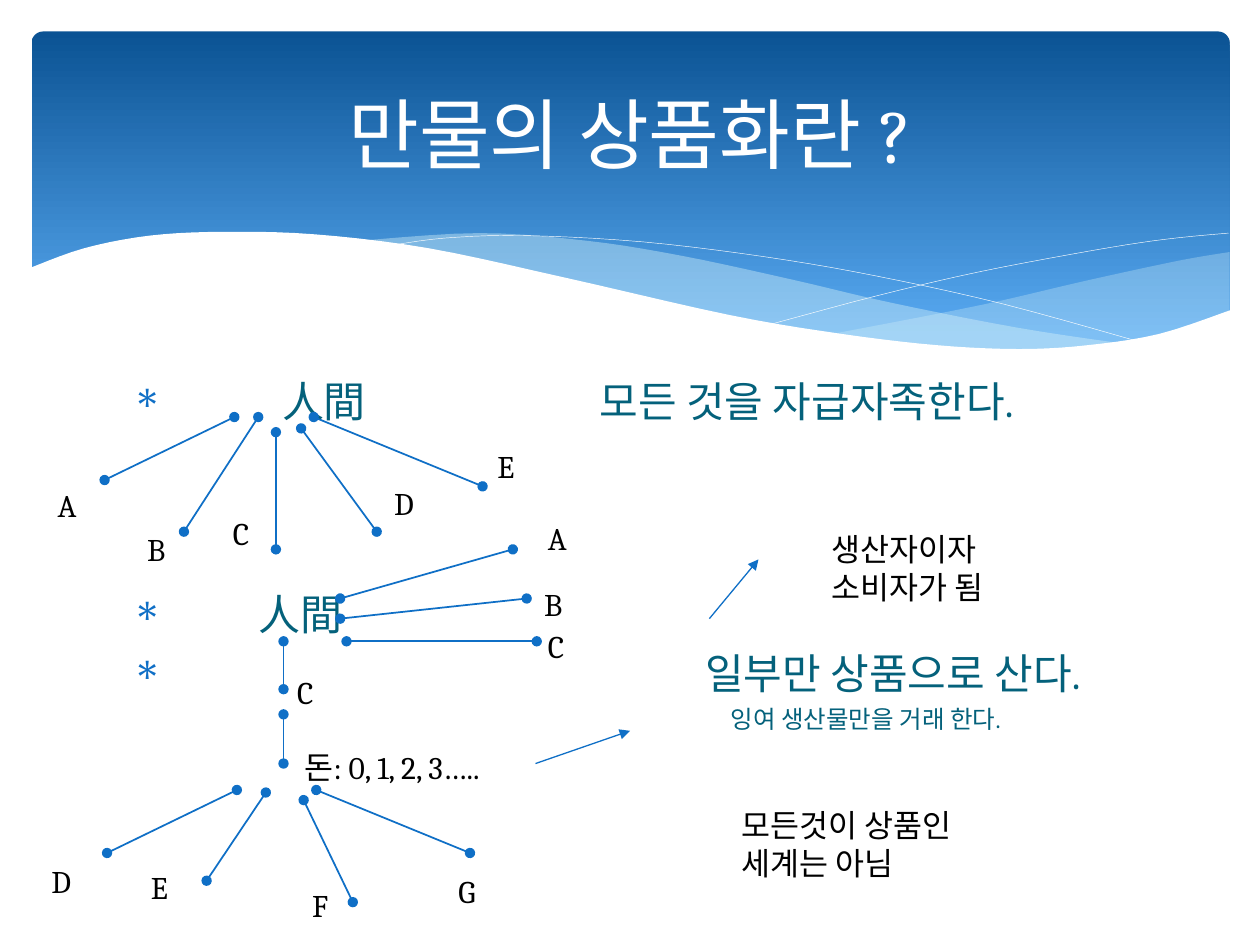
from lxml import etree
from pptx import Presentation
from pptx.dml.color import RGBColor
from pptx.enum.shapes import MSO_CONNECTOR, MSO_SHAPE
from pptx.enum.text import MSO_ANCHOR, PP_ALIGN
from pptx.oxml import parse_xml
from pptx.oxml.ns import nsdecls, qn
from pptx.util import Inches, Pt

BLUE, TEAL, PALE, WHITE, BLACK = "0F6FC6", "04617B", "DBF5F9", "FFFFFF", "000000"


def colour(value):
    """Return the colour for a hex string."""
    return RGBColor.from_string(value)


def curve(points, steps=5):
    """Return a smooth run of points through the given ones."""
    padded = [points[0], *points, points[-1]]
    result = [points[0]]
    for before, start, end, after in zip(padded, padded[1:], padded[2:], padded[3:]):
        for step in range(1, steps + 1):
            t = step / steps
            result.append(tuple(
                b + 0.5 * t * (c - a + t * (2 * a - 5 * b + 4 * c - d + t * (3 * (b - c) + d - a)))
                for a, b, c, d in zip(before, start, end, after)))
    return result


class SlideBuilder:
    """Hold the style and the current slide, and add elements to it."""

    font = "Cambria"

    def __init__(self, slide):
        self.shapes = slide.shapes

    def banner(self, left, top, width, height, upper, lower):
        """Add the rounded banner with a vertical gradient."""
        shape = self.shapes.add_shape(MSO_SHAPE.ROUNDED_RECTANGLE, Inches(left), Inches(top),
                                      Inches(width), Inches(height))
        shape.adjustments[0] = 0.034
        shape.shadow.inherit = False
        shape.line.fill.background()
        shape.fill.gradient()
        shape.fill.gradient_angle = 270
        for stop, position, value in zip(shape.fill.gradient_stops, (0, 0.9), (upper, lower)):
            stop.position = position
            stop.color.rgb = colour(value)

    def outline(self, points, closed):
        """Add a bare freeform through the points."""
        corners = [(Inches(x), Inches(y)) for x, y in points]
        builder = self.shapes.build_freeform(*corners[0])
        builder.add_line_segments(corners[1:], close=closed)
        shape = builder.convert_to_shape()
        shape.shadow.inherit = False
        return shape

    def wave(self, points, fill, opacity=100):
        """Add a filled wave."""
        shape = self.outline(points, True)
        shape.line.fill.background()
        shape.fill.solid()
        shape.fill.fore_color.rgb = colour(fill)
        if opacity < 100:
            value = shape._element.spPr.find(f"{qn('a:solidFill')}/{qn('a:srgbClr')}")
            etree.SubElement(value, qn("a:alpha"), val=str(opacity * 1000))

    def ripple(self, points):
        """Add a thin white curve."""
        shape = self.outline(points, False)
        shape.fill.background()
        shape.line.color.rgb = colour(WHITE)
        shape.line.width = Pt(0.25)

    def connector(self, start, end, width=1, head="oval", tail="oval"):
        """Add a straight line with the given ends."""
        line = self.shapes.add_connector(MSO_CONNECTOR.STRAIGHT, *map(Inches, start + end))
        line.line.color.rgb = colour(BLUE)
        line.line.width = Pt(width)
        properties = line._element.spPr.find(qn("a:ln"))
        etree.SubElement(properties, qn("a:headEnd"), type=head)
        etree.SubElement(properties, qn("a:tailEnd"), type=tail)
        etree.SubElement(line._element.spPr, qn("a:effectLst"))

    def arrow(self, start, end):
        """Add a thin arrow."""
        self.connector(start, end, 0.75, "none", "triangle")

    def frame(self, left, top, width, height):
        """Add an empty wrapping text box and return its text frame."""
        box = self.shapes.add_textbox(Inches(left), Inches(top), Inches(width), Inches(height))
        box.text_frame.word_wrap = True
        return box.text_frame

    def set_text(self, paragraph, text, size, value):
        """Fill a paragraph with styled text."""
        paragraph.text = text
        paragraph.font.name = self.font
        paragraph.font.size = Pt(size)
        paragraph.font.color.rgb = colour(value)

    def title(self, text, left, top, width, height):
        """Add the centred title."""
        frame = self.frame(left, top, width, height)
        frame.vertical_anchor = MSO_ANCHOR.MIDDLE
        self.set_text(frame.paragraphs[0], text, 44, WHITE)
        frame.paragraphs[0].alignment = PP_ALIGN.CENTER

    def label(self, text, left, top, width=0.43, height=0.4):
        """Add a black label."""
        self.set_text(self.frame(left, top, width, height).paragraphs[0], text, 18, BLACK)

    def body(self, rows, left, top, width, height):
        """Add the body rows of text, size, indent, space before and bullet."""
        frame = self.frame(left, top, width, height)
        for index, (text, size, indent, space, bullet) in enumerate(rows):
            paragraph = frame.add_paragraph() if index else frame.paragraphs[0]
            self.set_text(paragraph, text, size, TEAL)
            paragraph.space_before = Pt(space)
            properties = paragraph._p.get_or_add_pPr()
            properties.set("marL", str(Inches(indent)))
            properties.set("indent", str(-Inches(indent) if bullet else 0))
            if bullet:
                marks = (f'<a:buClr {nsdecls("a")}><a:srgbClr val="{BLUE}"/></a:buClr>',
                         f'<a:buChar {nsdecls("a")} char="∗"/>')
                for mark in marks:
                    properties.insert_element_before(parse_xml(mark), "a:tabLst", "a:defRPr")


def draw_header(builder):
    """Draw the banner and its waves."""
    builder.banner(0.25, 0.25, 9.51, 2.7, "0B5394", "59AAF2")
    builder.wave(
        curve([(9.76, 2), (9.35, 2.07), (8.61, 2.23), (7.79, 2.42), (6.61, 2.65)])
        + curve([(6.61, 2.65), (7.32, 2.74), (8.03, 2.78), (8.63, 2.75), (9.21, 2.65), (9.76, 2.47)]),
        PALE, 29)
    builder.wave(
        curve([(8.93, 2.73), (8.07, 2.6), (7.06, 2.4), (6.29, 2.22), (5.41, 2.03), (4.65, 1.91),
               (3.8, 1.85), (2.86, 1.91)])
        + curve([(2.86, 1.91), (3.62, 2.03), (4.49, 2.22), (5.66, 2.48), (6.5, 2.64), (7.36, 2.75),
                 (8.18, 2.78), (8.93, 2.73)]),
        PALE, 40)
    builder.ripple(curve([(3.09, 1.95), (3.53, 1.89), (4.16, 1.87), (5.1, 1.92), (6.08, 2.04),
                          (6.95, 2.19), (7.95, 2.41), (9.07, 2.72)]))
    builder.ripple(curve([(6.13, 2.57), (6.95, 2.35), (7.76, 2.16), (8.66, 1.99), (9.24, 1.9),
                          (9.75, 1.85)]))
    builder.wave(
        curve([(9.77, 2.46), (9.2, 2.65), (8.63, 2.74), (8.09, 2.77), (7.44, 2.74), (6.68, 2.65),
               (5.79, 2.5), (4.47, 2.2), (3.4, 1.97), (2.5, 1.86), (1.77, 1.84), (1.19, 1.87),
               (0.67, 1.97), (0.23, 2.13)])
        + [(0.23, 3.29), (9.77, 3.29)],
        WHITE)


def draw_diagram(builder):
    """Draw the branches, labels and arrows."""
    branches = [
        ((1.86, 3.31), (0.83, 3.81)), ((2.49, 3.31), (3.83, 3.86)), ((2.39, 3.4), (2.99, 4.22)),
        ((2.05, 3.31), (1.46, 4.22)), ((2.19, 3.43), (2.19, 4.36)),
        ((4.07, 4.36), (2.7, 4.75)), ((4.18, 4.75), (2.7, 4.91)), ((4.26, 5.09), (2.75, 5.09)),
        ((2.25, 5.09), (2.25, 5.47)), ((2.25, 5.67), (2.25, 6.06)),
        ((1.88, 6.27), (0.85, 6.77)), ((2.51, 6.27), (3.73, 6.77)), ((2.41, 6.35), (2.8, 7.16)),
        ((2.11, 6.29), (1.64, 6.99)),
    ]
    for start, end in branches:
        builder.connector(start, end)
    letters = [
        ("A", 0.36, 3.81), ("B", 1.07, 4.16), ("C", 1.75, 4.03), ("D", 3.03, 3.79), ("E", 3.85, 3.5),
        ("A", 4.25, 4.07), ("C", 4.25, 4.93), ("B", 4.22, 4.59), ("C", 2.26, 5.29),
        ("D", 0.31, 6.79), ("E", 1.1, 6.84), ("F", 2.38, 6.98), ("G", 3.54, 6.87),
    ]
    for letter, left, top in letters:
        builder.label(letter, left, top)
    builder.label("돈: 0, 1, 2, 3…..", 2.32, 5.89, 1.79)
    builder.arrow((4.25, 6.06), (5, 5.8))
    builder.label("모든것이 상품인 세계는 아님", 5.79, 6.35, 1.97, 0.71)
    builder.arrow((5.63, 4.91), (6.02, 4.44))
    builder.label("생산자이자 소비자가 됨", 6.5, 4.16, 1.65, 0.71)


def main():
    """Build and save the slide."""
    presentation = Presentation()
    presentation.slide_width, presentation.slide_height = Inches(10), Inches(7.5)
    builder = SlideBuilder(presentation.slides.add_slide(presentation.slide_layouts[6]))
    draw_header(builder)
    builder.title("만물의 상품화란 ?", 0.5, 0.37, 9, 1.37)
    builder.body([("人間", 24, 1.19, 0, True), ("人間", 24, 1, 93, True),
                  ("일부만 상품으로 산다.", 24, 4.55, 4.8, True),
                  ("잉여 생산물만을 거래 한다.", 14, 4.75, 3.8, False)], 0.95, 2.93, 8.1, 3.77)
    builder.body([("모든 것을 자급자족한다.", 24, 0, 0, False)], 4.66, 2.93, 4.39, 0.5)
    draw_diagram(builder)
    presentation.save("out.pptx")


if __name__ == "__main__":
    main()
